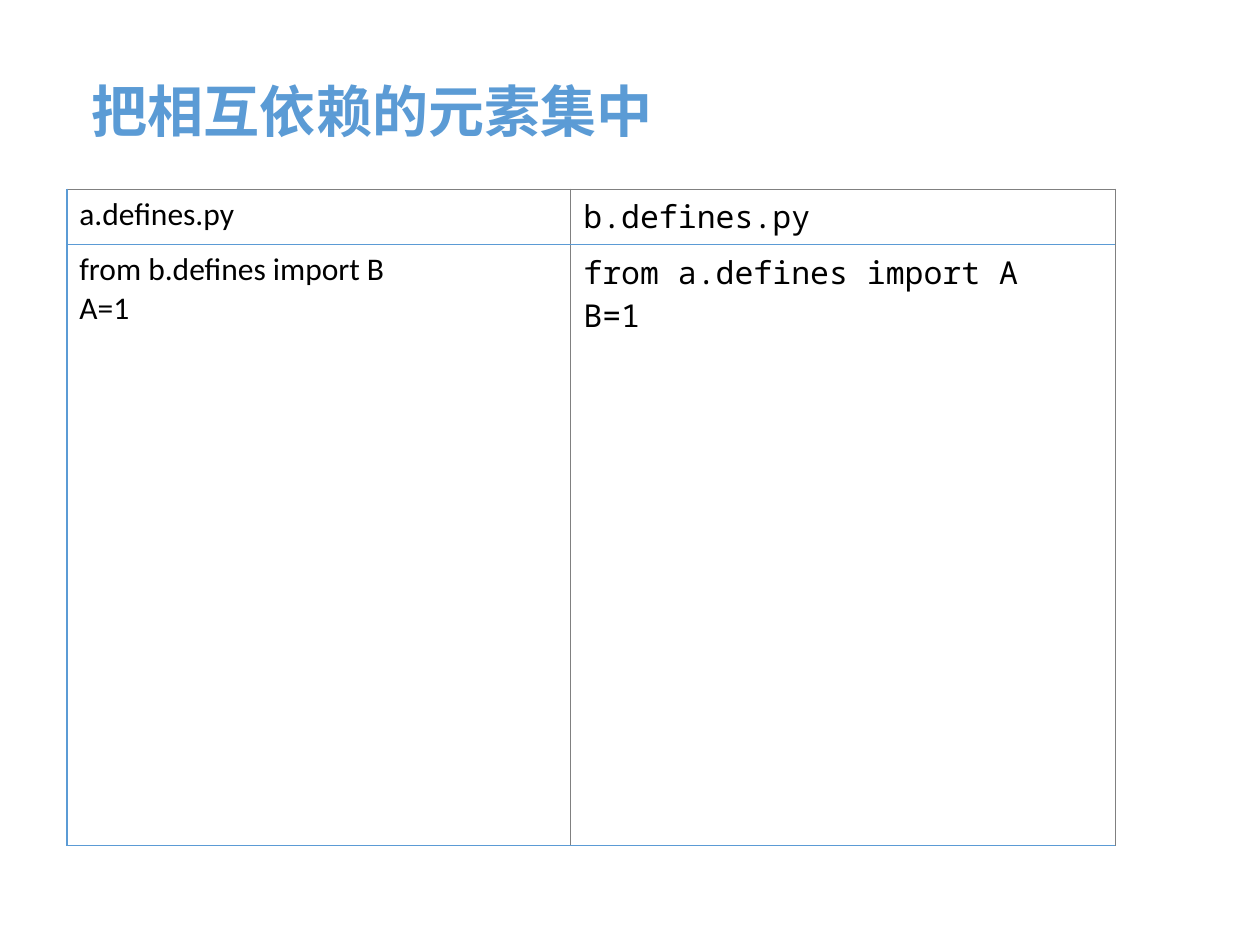
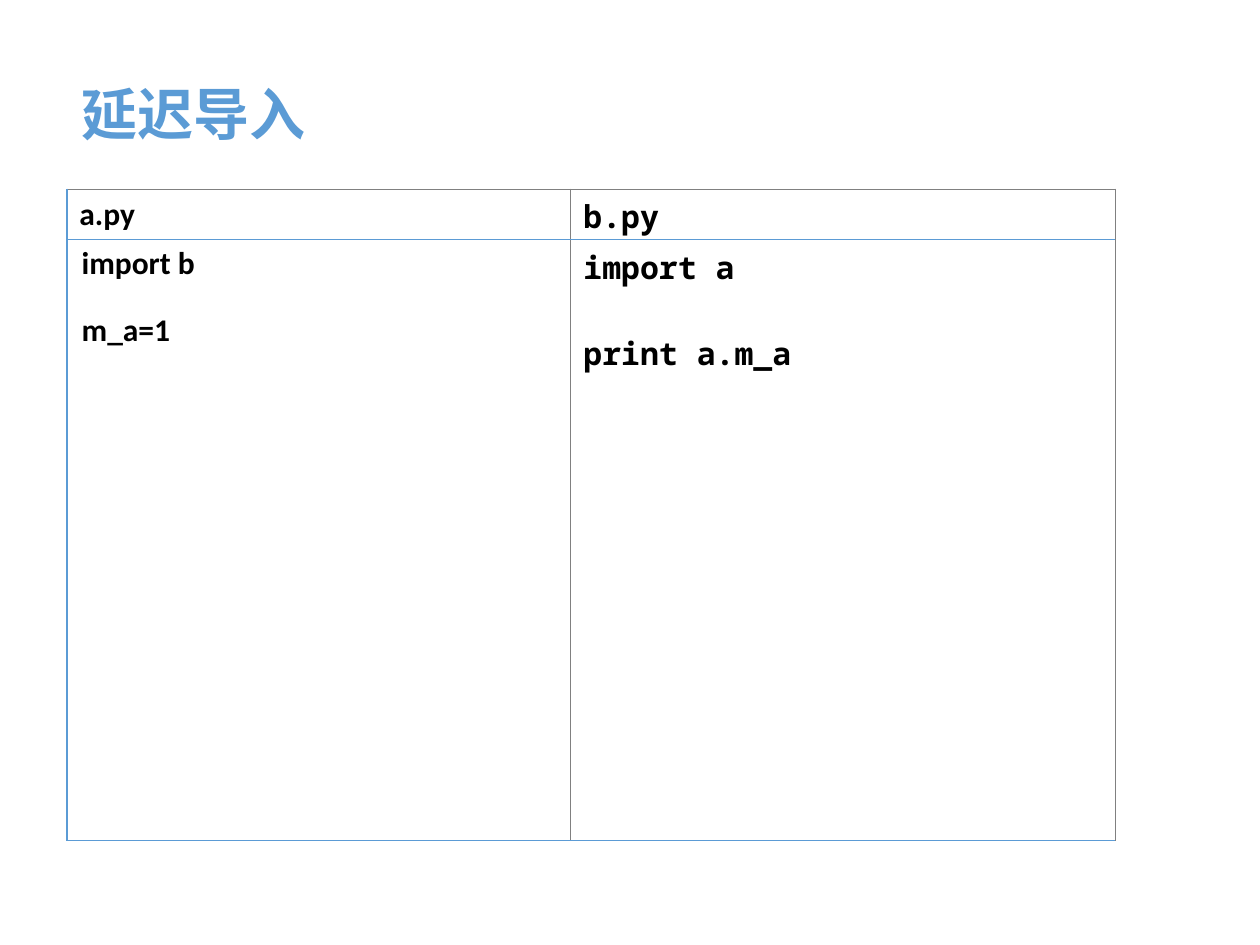
from lxml import etree
from pptx import Presentation
from pptx.dml.color import RGBColor
from pptx.enum.text import MSO_AUTO_SIZE, PP_ALIGN
from pptx.oxml.ns import qn
from pptx.util import Inches, Pt

LEFT, CENTER = PP_ALIGN.LEFT, PP_ALIGN.CENTER
GROW = MSO_AUTO_SIZE.SHAPE_TO_FIT_TEXT
COLORS = {"accent": "5B9BD5", "code": "000000", "rule": "808080"}
SANS, MONO = "Calibri", "Noto Sans Mono"
CODE_SIZE, TITLE_SIZE = 18, 32
BLANK_LINE = Pt(24.5)
COLUMN_WIDTHS = (4, 4.32)
ROW_HEIGHTS = (0.36, 4.77)
ACCENT_RULE, THIN_RULE = ("accent", 1), ("rule", 0.5)


def add_run(paragraph, text, font_name, size, color, bold):
    """Append one formatted run to a paragraph."""
    run = paragraph.add_run()
    run.text = text
    run.font.name = font_name
    run.font.size = Pt(size)
    run.font.bold = bold
    run.font.color.rgb = RGBColor.from_string(COLORS[color])


def add_label(slide, text, place, size=CODE_SIZE, color="code", align=LEFT):
    """Add a bold line of text that does not wrap."""
    frame = slide.shapes.add_textbox(*map(Inches, place)).text_frame
    frame.word_wrap = False
    frame.auto_size = GROW
    line = frame.paragraphs[0]
    line.alignment = align
    add_run(line, text, SANS, size, color, True)


def add_title(slide, text, place):
    """Add the slide heading."""
    add_label(slide, text, place, TITLE_SIZE, "accent", CENTER)


def set_border(cell, side, rule):
    """Draw one side of a cell."""
    color, width = rule
    border = etree.SubElement(cell._tc.get_or_add_tcPr(), qn(f"a:ln{side}"), w=str(Pt(width)))
    fill = etree.SubElement(border, qn("a:solidFill"))
    etree.SubElement(fill, qn("a:srgbClr"), val=COLORS[color])


def fill_cell(cell, lines, font_name, bold, gap):
    """Write code lines into a cell, with a gap between them."""
    for index, text in enumerate(lines):
        frame = cell.text_frame
        paragraph = frame.add_paragraph() if index else frame.paragraphs[0]
        if index and gap:
            paragraph.space_before = gap
        add_run(paragraph, text, font_name, CODE_SIZE, "code", bold)


def add_module_table(slide, files, bold=False, gap=None):
    """Compare two modules, each a file name and its code lines."""
    table = slide.shapes.add_table(
        len(ROW_HEIGHTS), len(COLUMN_WIDTHS), Inches(0.53), Inches(1.5),
        Inches(sum(COLUMN_WIDTHS)), Inches(sum(ROW_HEIGHTS))).table
    table.first_row = table.horz_banding = False
    for row, height in zip(table.rows, ROW_HEIGHTS):
        row.height = Inches(height)
    for col, (file_name, code) in enumerate(files):
        table.columns[col].width = Inches(COLUMN_WIDTHS[col])
        for row, lines in enumerate(([file_name], code)):
            cell = table.cell(row, col)
            set_border(cell, "L", THIN_RULE if col else ACCENT_RULE)
            set_border(cell, "R", THIN_RULE)
            set_border(cell, "T", ACCENT_RULE if row else THIN_RULE)
            set_border(cell, "B", ACCENT_RULE)
            cell.fill.background()
            fill_cell(cell, lines, (SANS, MONO)[col], bold, gap)


def main():
    """Build and save the two slides."""
    deck = Presentation()
    deck.slide_width, deck.slide_height = Inches(10), Inches(7.5)
    blank = deck.slide_layouts[6]

    grouping = deck.slides.add_slide(blank)
    add_module_table(grouping, [
        ("a.defines.py", ["from b.defines import B", "A=1"]),
        ("b.defines.py", ["from a.defines import A", "B=1"])])
    add_title(grouping, "把相互依赖的元素集中", (0.6, 0.56, 4.71, 0.64))

    delayed = deck.slides.add_slide(blank)
    add_module_table(delayed, [
        ("a.py", []),
        ("b.py", ["import a", "print a.m_a"])], bold=True, gap=BLANK_LINE)
    add_title(delayed, "延迟导入", (0.54, 0.58, 2, 0.64))
    add_label(delayed, "import b", (0.55, 1.88, 1.17, 0.4))
    add_label(delayed, "m_a=1", (0.55, 2.41, 0.9, 0.4))

    deck.save("out.pptx")


if __name__ == "__main__":
    main()
